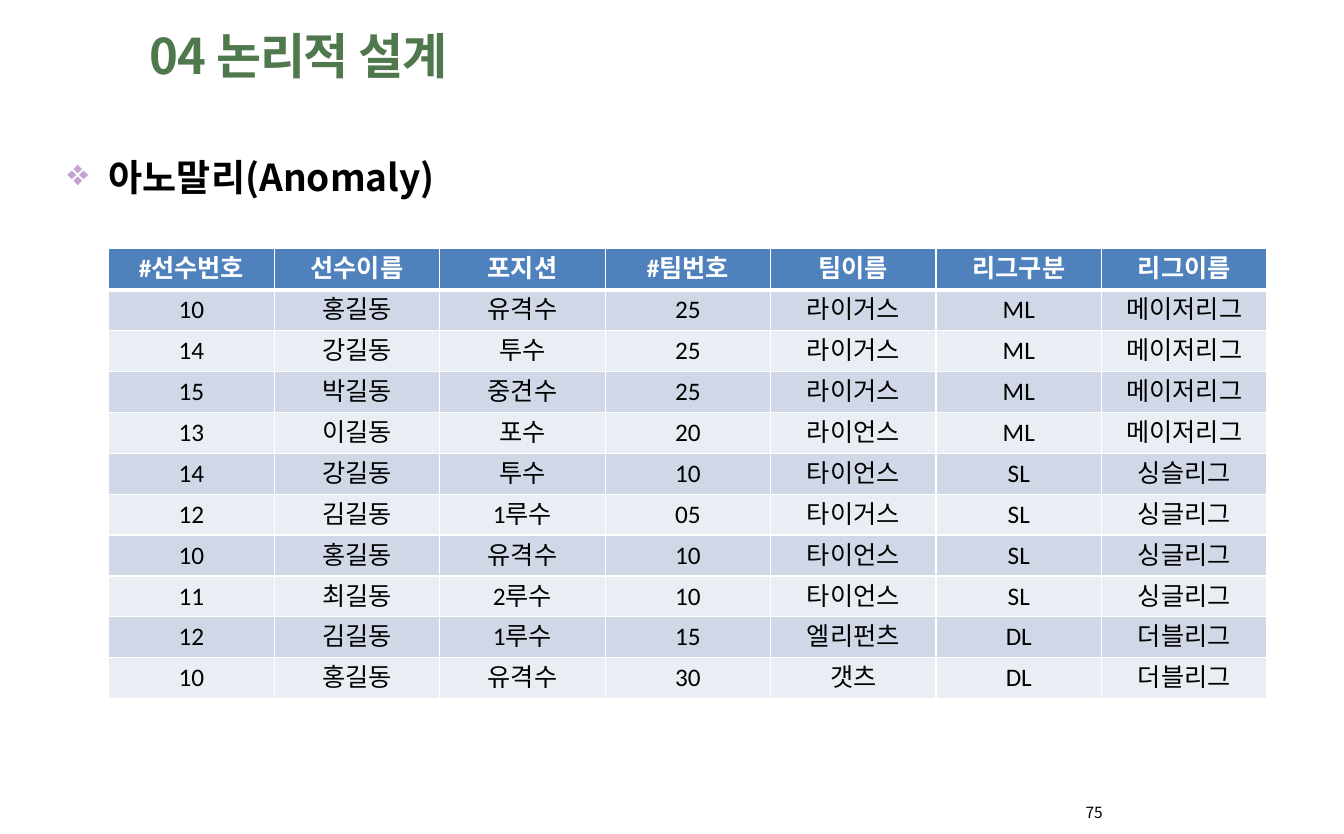
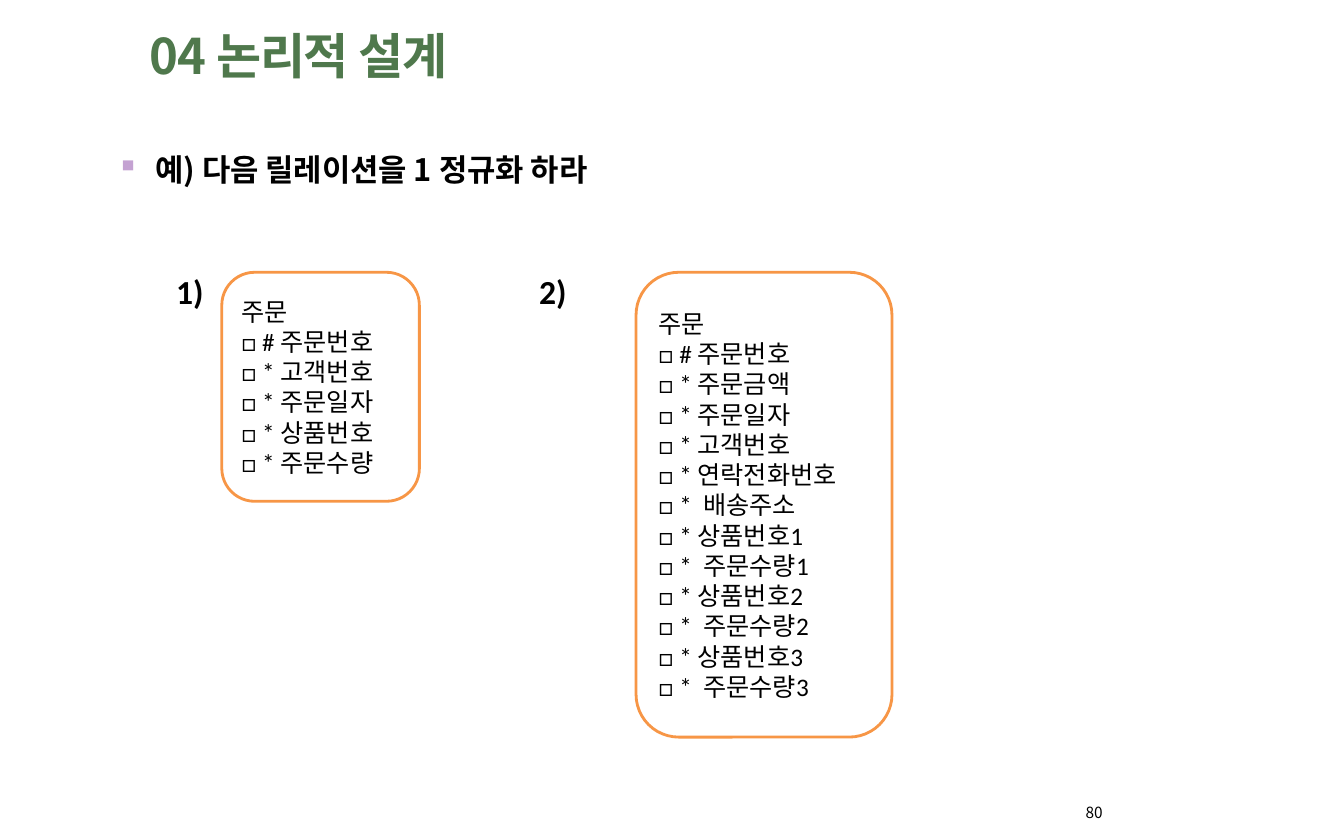
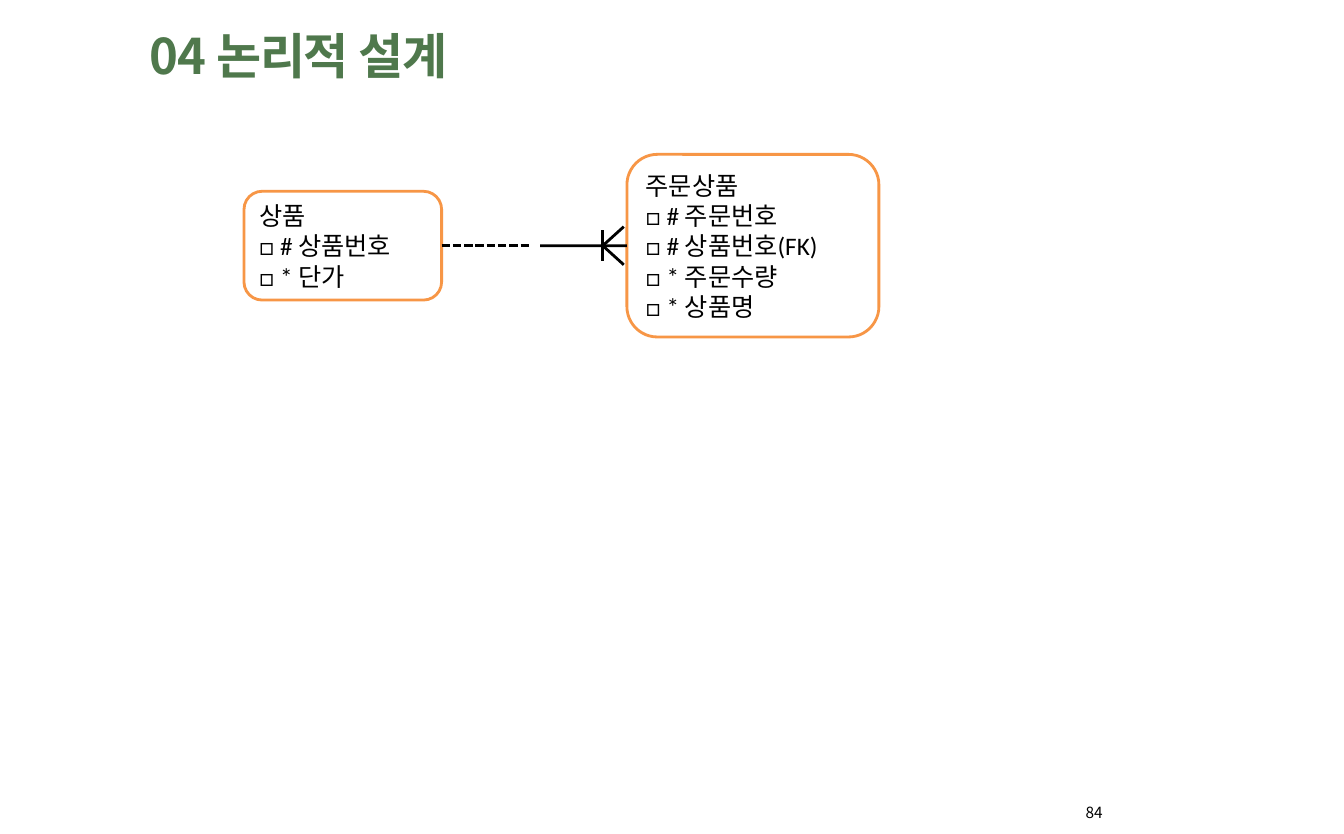
from lxml.etree import SubElement
from pptx import Presentation
from pptx.dml.color import RGBColor
from pptx.enum.dml import MSO_LINE
from pptx.enum.shapes import MSO_CONNECTOR, MSO_SHAPE
from pptx.enum.text import MSO_ANCHOR, MSO_AUTO_SIZE, PP_ALIGN
from pptx.oxml import parse_xml
from pptx.oxml.ns import nsdecls, qn
from pptx.util import Cm, Pt

NOTO, CALIBRI = "Noto Sans CJK KR", "Calibri"
BLACK, WHITE = "000000", "FFFFFF"
GREEN, LILAC, ORANGE = "4F784C", "C4A2D2", "F79646"
HEAD, BANDS = "4F81BD", ("D0D8E8", "E9EDF4")


def color(code):
    return RGBColor.from_string(code)


class Deck:
    """The shared style and the slide being filled."""

    def __init__(self):
        self.prs = Presentation()
        self.prs.slide_width, self.prs.slide_height = Cm(33.87), Cm(21.01)
        self.slide = None

    def style(self, para, size, name=CALIBRI, tint=BLACK, bold=False):
        font = para.font
        font.size, font.name, font.bold = Pt(size), name, bold
        font.color.rgb = color(tint)
        # East Asian letters use the same font
        for run in para.runs:
            SubElement(run._r.get_or_add_rPr(), qn("a:ea")).set("typeface", name)

    def frame(self, shape, top=0):
        frame = shape.text_frame
        frame.margin_left = frame.margin_right = frame.margin_bottom = 0
        frame.margin_top = Cm(top)
        frame.word_wrap = True
        return frame

    def box(self, left, top, width, height):
        return self.slide.shapes.add_textbox(Cm(left), Cm(top), Cm(width), Cm(height))

    def page(self, number):
        """Start a slide with the common title and its page number."""
        self.slide = self.prs.slides.add_slide(self.prs.slide_layouts[5])
        title = self.slide.shapes.title
        title.left, title.top = Cm(3.76), Cm(0.58)
        title.width, title.height = Cm(8.1), Cm(1.57)
        frame = self.frame(title, 0.05)
        frame.vertical_anchor = MSO_ANCHOR.TOP
        frame.auto_size = MSO_AUTO_SIZE.SHAPE_TO_FIT_TEXT
        para = frame.paragraphs[0]
        para.alignment, para.space_before = PP_ALIGN.LEFT, Pt(1.2)
        for text, gap in (("04 ", -70), ("논리적 ", -90), ("설계", -140)):
            run = para.add_run()
            run.text = text
            run._r.get_or_add_rPr().set("spc", str(gap))
        self.style(para, 35, NOTO, GREEN, True)

        para = self.frame(self.box(27.28, 20.24, 0.58, 0.46)).paragraphs[0]
        para.text, para.line_spacing = str(number), Pt(12.7)
        para._p.get_or_add_pPr().set("marL", str(Cm(0.08)))
        self.style(para, 11, NOTO)

    def bullet(self, text, size, mark, indent, hang, height, level=0):
        para = self.frame(self.box(1.65, 3.3, 30.73, height), 0.03).paragraphs[0]
        para.text, para.level = text, level
        para.line_spacing, para.space_before = 1.5, Pt(0.9)
        props = para._p.get_or_add_pPr()
        props.set("marL", str(Cm(indent)))
        props.set("indent", str(-Cm(hang)))
        tint = SubElement(props, qn("a:buClr"))
        SubElement(tint, qn("a:srgbClr")).set("val", LILAC)
        SubElement(props, qn("a:buChar")).set("char", mark)
        self.style(para, size, NOTO, bold=True)

    def label(self, text, left, top):
        frame = self.box(left, top, 1.22, 1.27).text_frame
        frame.word_wrap = False
        frame.text = text
        self.style(frame.paragraphs[0], 24, bold=True)

    def entity(self, left, top, width, height, name, *fields):
        """Rounded box with a name and its marked fields."""
        shape = self.slide.shapes.add_shape(
            MSO_SHAPE.ROUNDED_RECTANGLE, Cm(left), Cm(top), Cm(width), Cm(height))
        shape.shadow.inherit = False
        shape.fill.solid()
        shape.fill.fore_color.rgb = color(WHITE)
        shape.line.color.rgb = color(ORANGE)
        shape.line.width = Pt(2)
        frame = shape.text_frame
        frame.vertical_anchor = MSO_ANCHOR.MIDDLE
        frame.text = "\n".join([name] + ["□ " + field for field in fields])
        for para in frame.paragraphs:
            para.alignment = PP_ALIGN.LEFT
            self.style(para, 18)
        return shape

    def line(self, x1, y1, x2, y2, dash=None):
        line = self.slide.shapes.add_connector(
            MSO_CONNECTOR.STRAIGHT, Cm(x1), Cm(y1), Cm(x2), Cm(y2))
        line.line.color.rgb = color(BLACK)
        line.line.width = Pt(2)
        if dash:
            line.line.dash_style = dash
        SubElement(line._element.spPr, qn("a:effectLst"))
        return line

    def edges(self, cell, top, bottom):
        props = cell._tc.get_or_add_tcPr()
        for spot, (side, width) in enumerate(
                (("L", 1), ("R", 1), ("T", top), ("B", bottom))):
            props.insert(spot, parse_xml(
                f'<a:ln{side} {nsdecls("a")} w="{Pt(width)}"><a:solidFill>'
                f'<a:srgbClr val="{WHITE}"/></a:solidFill></a:ln{side}>'))

    def table(self, left, top, wide, high, rows):
        count = len(rows[0])
        table = self.slide.shapes.add_table(
            len(rows), count, Cm(left), Cm(top),
            Cm(wide * count), Cm(high * len(rows))).table
        for col in table.columns:
            col.width = Cm(wide)
        for r, row in enumerate(rows):
            table.rows[r].height = Cm(high)
            first = r == 0
            for c, text in enumerate(row):
                cell = table.cell(r, c)
                cell.text = text
                cell.fill.solid()
                cell.fill.fore_color.rgb = color(HEAD if first else BANDS[(r - 1) % 2])
                self.edges(cell, 3 if r == 1 else 1, 3 if first else 1)
                para = cell.text_frame.paragraphs[0]
                para.alignment = PP_ALIGN.CENTER
                self.style(para, 18, tint=WHITE if first else BLACK, bold=first)


PLAYERS = """#선수번호 선수이름 포지션 #팀번호 팀이름 리그구분 리그이름
10 홍길동 유격수 25 라이거스 ML 메이저리그
14 강길동 투수 25 라이거스 ML 메이저리그
15 박길동 중견수 25 라이거스 ML 메이저리그
13 이길동 포수 20 라이언스 ML 메이저리그
14 강길동 투수 10 타이언스 SL 싱슬리그
12 김길동 1루수 05 타이거스 SL 싱글리그
10 홍길동 유격수 10 타이언스 SL 싱글리그
11 최길동 2루수 10 타이언스 SL 싱글리그
12 김길동 1루수 15 엘리펀츠 DL 더블리그
10 홍길동 유격수 30 갯츠 DL 더블리그"""


def main():
    deck = Deck()

    # Anomaly table
    deck.page(75)
    deck.bullet("아노말리(Anomaly)", 26.5, "❖", 1.09, 1.04, 10.11)
    deck.table(2.74, 6.27, 4.17, 1.03, [row.split() for row in PLAYERS.splitlines()])

    # First normal form exercise
    deck.page(80)
    deck.bullet("예) 다음 릴레이션을 1 정규화 하라", 22, "▪", 2.26, 0.97, 1.27, 1)
    deck.label("1)", 4.19, 6.71)
    deck.entity(5.59, 6.86, 4.98, 5.77, "주문", "# 주문번호", "* 고객번호",
                "* 주문일자", "* 상품번호", "* 주문수량")
    deck.label("2)", 13.34, 6.71)
    items = [f"* {name}{n}" for n in (1, 2, 3) for name in ("상품번호", " 주문수량")]
    deck.entity(16.03, 6.86, 6.45, 11.71, "주문", "# 주문번호", "* 주문금액",
                "* 주문일자", "* 고객번호", "* 연락전화번호", "*  배송주소", *items)

    # Product and order item, one to many
    deck.page(84)
    order = deck.entity(15.8, 3.89, 6.35, 4.6, "주문상품", "# 주문번호",
                        "# 상품번호(FK)", "* 주문수량", "* 상품명")
    goods = deck.entity(6.15, 4.82, 4.98, 2.74, "상품", "# 상품번호", "* 단가")
    mid, foot, tip = 6.19, 15.19, 15.72
    deck.line(13.61, mid, 15.8, mid).end_connect(order, 1)
    for rise in (-0.48, 0.48):
        deck.line(foot, mid, tip, mid + rise)
    deck.line(foot, mid - 0.39, foot, mid + 0.39)
    deck.line(11.13, mid, 13.39, mid, MSO_LINE.SQUARE_DOT).begin_connect(goods, 3)

    deck.prs.save("out.pptx")


if __name__ == "__main__":
    main()
